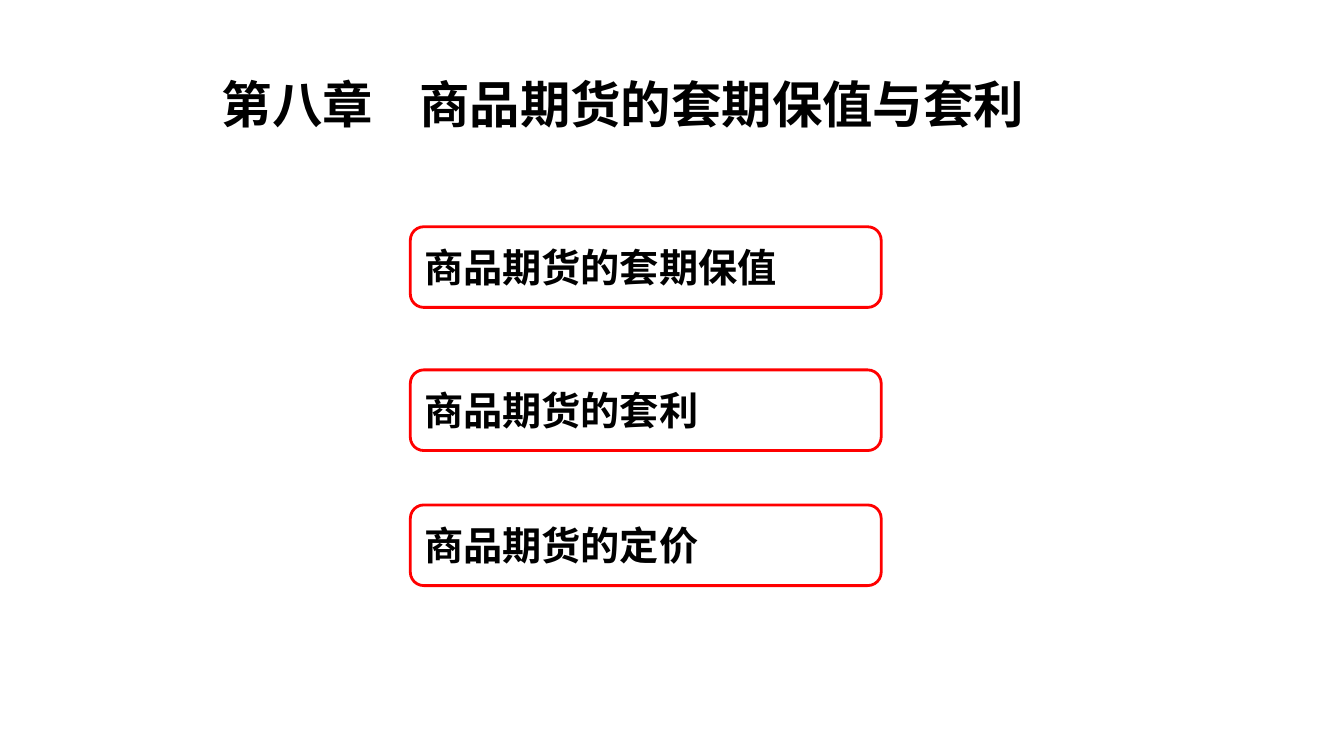
from lxml import etree
from pptx import Presentation
from pptx.dml.color import RGBColor
from pptx.enum.shapes import MSO_SHAPE
from pptx.enum.text import MSO_ANCHOR, PP_ALIGN
from pptx.oxml.ns import qn
from pptx.util import Inches, Pt

ROUNDED_BOX = MSO_SHAPE.FLOWCHART_ALTERNATE_PROCESS
MIDDLE = MSO_ANCHOR.MIDDLE
LEFT = PP_ALIGN.LEFT
CHINESE_FONT = "Noto Sans CJK SC"
BLACK = "000000"
RED = "FF0000"

TITLE = "第八章\t商品期货的套期保值与套利"
TITLE_BOX = (2.1, 0.68, 8.74, 0.7)
TITLE_TAB = 1.96
SECTION_LEFT, SECTION_WIDTH, SECTION_HEIGHT = 4.07, 4.67, 0.8
SECTIONS = [
    ("商品期货的套期保值", 2.25),
    ("商品期货的套利", 3.67),
    ("商品期货的定价", 5.01),
]


def color(hex_string):
    return RGBColor.from_string(hex_string)


def write_text(shape, text, size, latin_font):
    """Fill a shape with one bold, left-aligned, vertically centred line."""
    frame = shape.text_frame
    frame.text = text
    frame.word_wrap = True
    frame.vertical_anchor = MIDDLE
    paragraph = frame.paragraphs[0]
    paragraph.alignment = LEFT
    for run in paragraph.runs:
        run.font.size = Pt(size)
        run.font.bold = True
        run.font.name = latin_font
        run.font.color.rgb = color(BLACK)
        east_asian = etree.SubElement(run.font._element, qn("a:ea"))
        east_asian.set("typeface", CHINESE_FONT)
    return paragraph


def add_title(slide, box):
    shape = slide.shapes.add_textbox(*map(Inches, box))
    paragraph = write_text(shape, TITLE, 36, "Arial")
    properties = paragraph._p.get_or_add_pPr()
    tab_list = etree.SubElement(properties, qn("a:tabLst"))
    etree.SubElement(tab_list, qn("a:tab"), pos=str(Inches(TITLE_TAB)), algn="l")


def add_section(slide, name, box):
    shape = slide.shapes.add_shape(ROUNDED_BOX, *map(Inches, box))
    shape.shadow.inherit = False
    shape.fill.background()
    shape.line.color.rgb = color(RED)
    shape.line.width = Pt(2)
    write_text(shape, name, 28, CHINESE_FONT)


def main():
    presentation = Presentation()
    presentation.slide_width = Inches(13.33)
    presentation.slide_height = Inches(7.5)
    slide = presentation.slides.add_slide(presentation.slide_layouts[6])
    for name, top in SECTIONS:
        add_section(slide, name, (SECTION_LEFT, top, SECTION_WIDTH, SECTION_HEIGHT))
    add_title(slide, TITLE_BOX)
    presentation.save("out.pptx")


if __name__ == "__main__":
    main()
